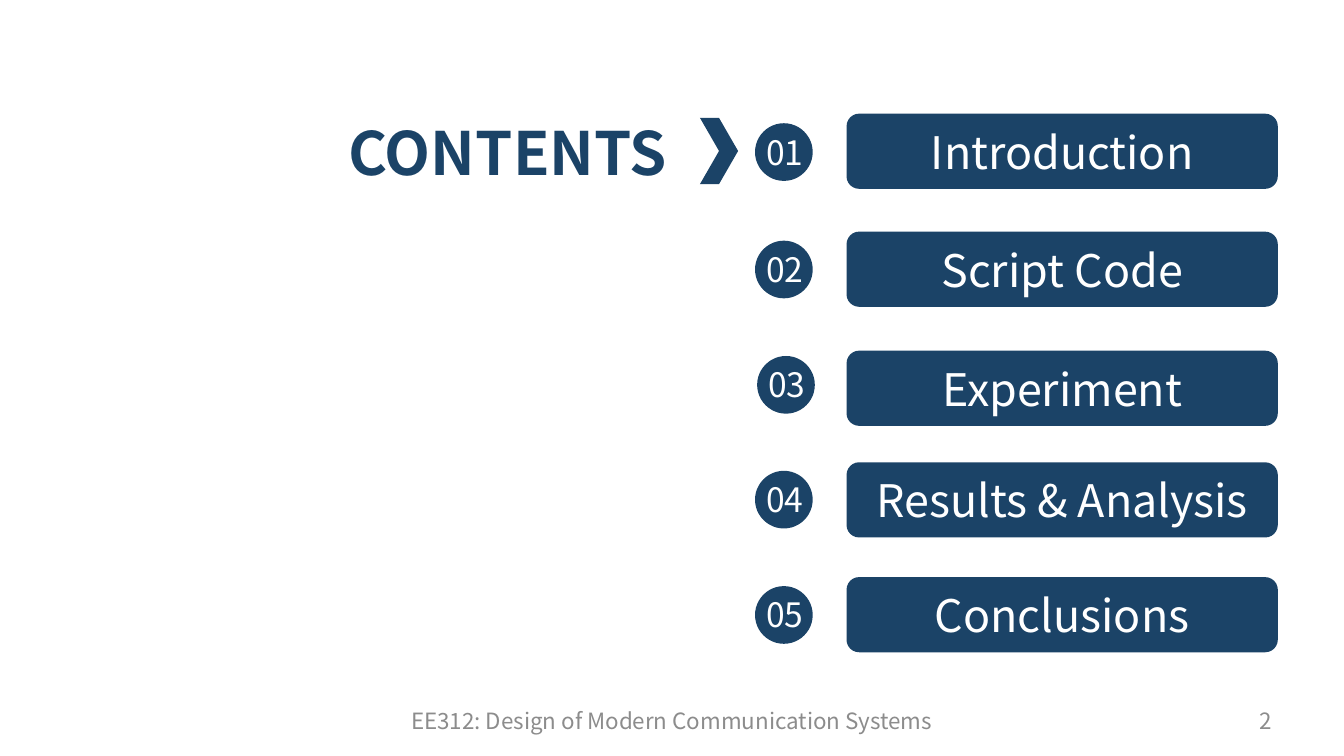
from dataclasses import dataclass

import pptx
import pptx.dml.color
import pptx.enum.shapes
import pptx.enum.text
import pptx.util

Cm = pptx.util.Cm
SHAPE = pptx.enum.shapes.MSO_SHAPE
ALIGN = pptx.enum.text.PP_ALIGN
ANCHOR = pptx.enum.text.MSO_ANCHOR

COLORS = {"navy": "1B4367", "white": "FFFFFF", "gray": "8C8C8C"}
FONT = "Noto Sans CJK SC"


@dataclass(frozen=True)
class Box:
    left: float
    top: float
    width: float
    height: float

    def lengths(self) -> tuple:
        return Cm(self.left), Cm(self.top), Cm(self.width), Cm(self.height)


@dataclass(frozen=True)
class Topic:
    title: str
    bar_top: float
    badge_top: float
    badge_left: float = 14.27


TOPICS = [
    Topic("Introduction", 2.15, 2.33),
    Topic("Script Code", 4.38, 4.55),
    Topic("Experiment", 6.63, 6.73, 14.31),
    Topic("Results & Analysis", 8.74, 8.9),
    Topic("Conclusions", 10.91, 11.08),
]


def rgb(color: str) -> pptx.dml.color.RGBColor:
    return pptx.dml.color.RGBColor.from_string(COLORS[color])


def write(frame, text: str, size: int, color: str, align=ALIGN.CENTER, bold: bool = False) -> None:
    frame.word_wrap = True
    paragraph = frame.paragraphs[0]
    paragraph.alignment = align
    run = paragraph.add_run()
    run.text = text
    run.font.name = FONT
    run.font.size = pptx.util.Pt(size)
    run.font.bold = bold
    run.font.color.rgb = rgb(color)


def add_navy_shape(shapes, preset, box: Box):
    shape = shapes.add_shape(preset, *box.lengths())
    shape.shadow.inherit = False
    shape.fill.solid()
    shape.fill.fore_color.rgb = rgb("navy")
    shape.line.fill.background()
    return shape


def add_topic(slide, number: int, topic: Topic) -> None:
    bar = add_navy_shape(slide.shapes, SHAPE.ROUNDED_RECTANGLE,
                         Box(16, topic.bar_top, 8.15, 1.42))
    write(bar.text_frame, topic.title, 24, "white")

    # Numbered badge: a disc with its label
    badge = slide.shapes.add_group_shape().shapes
    add_navy_shape(badge, SHAPE.OVAL, Box(topic.badge_left, topic.badge_top, 1.09, 1.09))
    label = badge.add_textbox(
        *Box(topic.badge_left - 0.1, topic.badge_top + 0.03, 1.32, 1.02).lengths())
    write(label.text_frame, f"{number:02d}", 18, "white")


def add_footer(slide, box: Box, text: str, align) -> None:
    frame = slide.shapes.add_textbox(*box.lengths()).text_frame
    frame.vertical_anchor = ANCHOR.MIDDLE
    frame.margin_left = frame.margin_right = Cm(0.19)
    frame.margin_top = frame.margin_bottom = Cm(0.1)
    write(frame, text, 12, "gray", align)


def main() -> None:
    deck = pptx.Presentation()
    deck.slide_width, deck.slide_height = Cm(25.4), Cm(14.29)
    slide = deck.slides.add_slide(deck.slide_layouts[6])

    # Heading and its chevron
    heading = slide.shapes.add_textbox(*Box(6.33, 2.06, 6.88, 1.62).lengths())
    write(heading.text_frame, "CONTENTS", 32, "navy", ALIGN.LEFT, bold=True)
    add_navy_shape(slide.shapes, SHAPE.CHEVRON, Box(13.23, 2.23, 0.72, 1.25))

    # Topics
    for number, topic in enumerate(TOPICS, start=1):
        add_topic(slide, number, topic)

    # Footer and page number
    add_footer(slide, Box(7.24, 13.24, 10.92, 0.76),
               "EE312: Design of Modern Communication Systems", ALIGN.CENTER)
    add_footer(slide, Box(18.62, 13.24, 5.61, 0.76), "2", ALIGN.RIGHT)

    deck.save("out.pptx")


if __name__ == "__main__":
    main()
